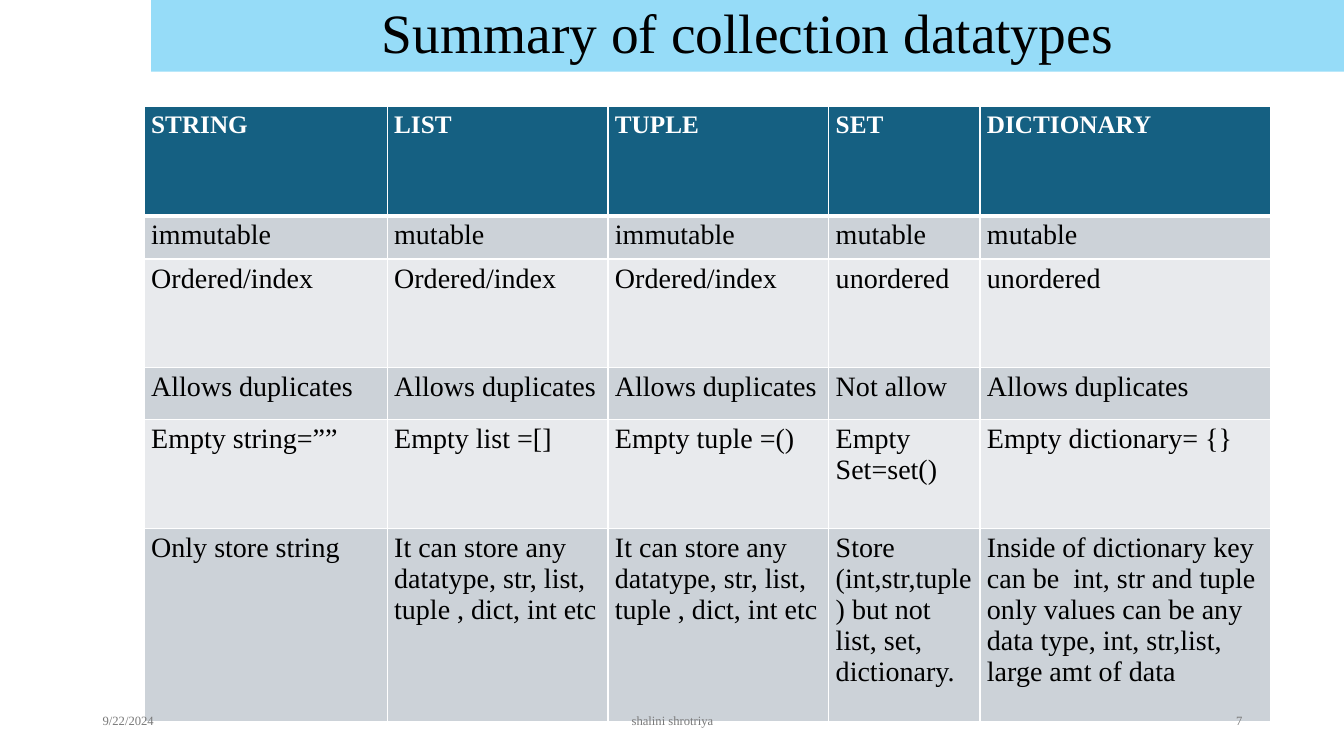
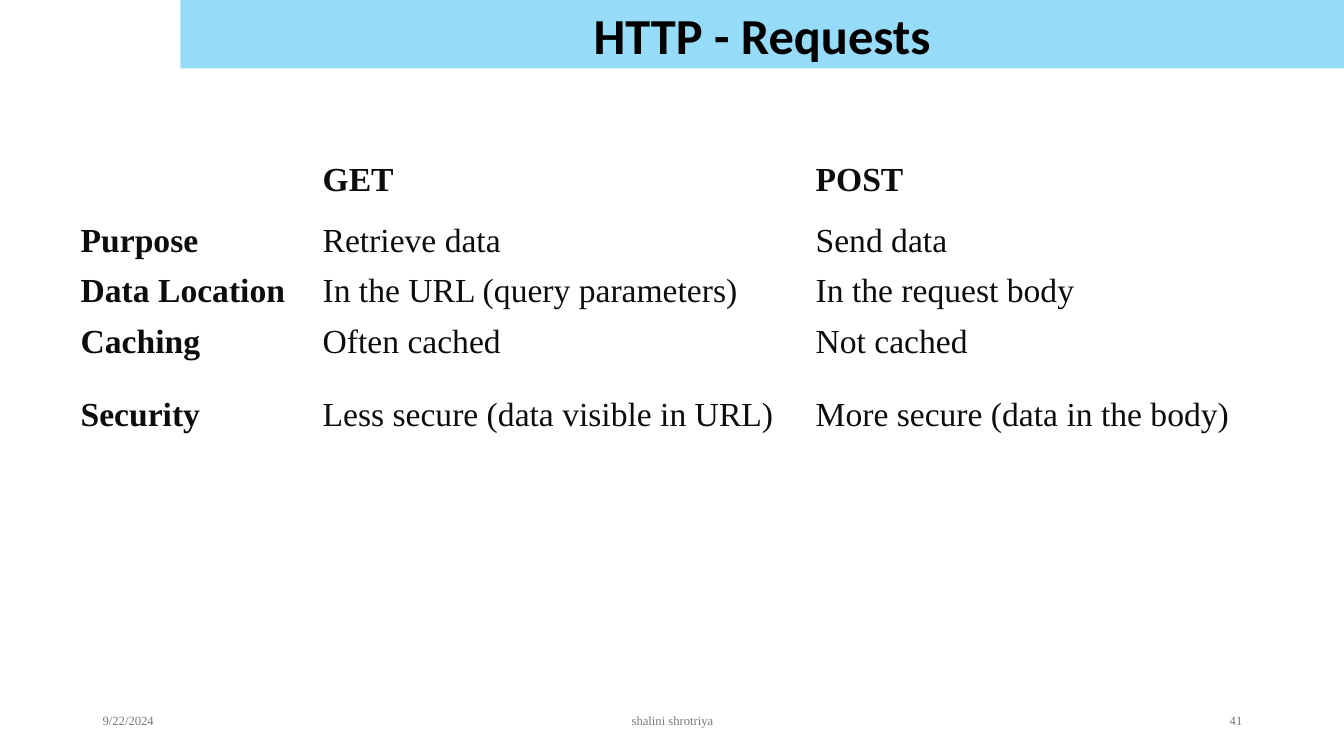
from dataclasses import dataclass

from lxml import etree
from pptx import Presentation
from pptx.dml.color import RGBColor
from pptx.enum.text import MSO_ANCHOR, MSO_AUTO_SIZE, PP_ALIGN
from pptx.oxml.ns import qn
from pptx.util import Inches, Pt

LEFT, CENTER, RIGHT = PP_ALIGN.LEFT, PP_ALIGN.CENTER, PP_ALIGN.RIGHT
TOP, MIDDLE = MSO_ANCHOR.TOP, MSO_ANCHOR.MIDDLE
NO_AUTOFIT = MSO_AUTO_SIZE.NONE
TITLE_ONLY = 5
PLAIN_TABLE_STYLE = "{2D5ABB26-0587-4C30-8999-92F81FD0307C}"


@dataclass(frozen=True)
class Theme:
    serif: str = "Times New Roman"
    sans: str = "Calibri"
    title_band: str = "96DCF8"
    header: str = "156082"
    band_dark: str = "CCD2D8"
    band_light: str = "E8EAED"
    white: str = "FFFFFF"
    black: str = "000000"
    ink: str = "0D0D0D"
    muted: str = "797979"
    footer_size: float = 9
    header_size: float = 18
    body_size: float = 20
    large_size: float = 24
    title_size: float = 36
    wide_title_size: float = 39.6


THEME = Theme()
SLIDE_WIDTH, SLIDE_HEIGHT = 13.33, 7.5
DATE, AUTHOR = "9/22/2024", "shalini shrotriya"

DATATYPE_ROWS = [
    ["STRING", "LIST", "TUPLE", "SET", "DICTIONARY"],
    ["immutable", "mutable", "immutable", "mutable", "mutable"],
    ["Ordered/index"] * 3 + ["unordered"] * 2,
    ["Allows duplicates"] * 3 + ["Not allow", "Allows duplicates"],
    ["Empty string=””", "Empty list =[]", "Empty tuple =()",
     "Empty Set=set()", "Empty dictionary= {}"],
    ["Only store string"]
    + ["It can store any datatype, str, list, tuple , dict, int etc"] * 2
    + ["Store (int,str,tuple) but not  list, set, dictionary.",
       "Inside of dictionary key can be  int, str and tuple only values "
       "can be any  data type, int, str,list,  large amt of data"],
]
REQUEST_ROWS = [
    ["", "GET", "POST"],
    ["Purpose", "Retrieve data", "Send data"],
    ["Data Location", "In the URL (query parameters)", "In the request body"],
    ["Caching", "Often cached", "Not cached"],
    ["Security", "Less secure (data visible in URL)",
     "More secure (data in the body)"],
]


def write(frame, text, size, color, bold=False, font=THEME.serif, align=LEFT):
    """Write one formatted run into the first paragraph of a text frame."""
    paragraph = frame.paragraphs[0]
    paragraph.alignment = align
    run = paragraph.add_run()
    run.text = text
    run.font.name = font
    run.font.size = Pt(size)
    run.font.bold = bold
    run.font.color.rgb = RGBColor.from_string(color)
    return paragraph


def add_title(slide, text, box, size, font, bold=False, line_spacing=1.0):
    title = slide.shapes.title
    title.left, title.top, title.width, title.height = map(Inches, box)
    title.fill.solid()
    title.fill.fore_color.rgb = RGBColor.from_string(THEME.title_band)
    frame = title.text_frame
    frame.auto_size = NO_AUTOFIT
    frame.word_wrap = True
    frame.vertical_anchor = MIDDLE
    frame.margin_left = frame.margin_right = Inches(0.07)
    frame.margin_top = frame.margin_bottom = Inches(0.04)
    paragraph = write(frame, text, size, THEME.black, bold, font, CENTER)
    paragraph.line_spacing = line_spacing


def add_footer(slide, number):
    parts = [(4.42, 4.5, AUTHOR, CENTER), (0.92, 3, DATE, LEFT),
             (9.42, 3, str(number), RIGHT)]
    for left, width, text, align in parts:
        box = slide.shapes.add_textbox(
            Inches(left), Inches(6.95), Inches(width), Inches(0.4))
        frame = box.text_frame
        frame.word_wrap = True
        frame.vertical_anchor = MIDDLE
        write(frame, text, THEME.footer_size, THEME.muted, align=align)


def set_border(cell, side, width):
    line = etree.SubElement(cell._tc.get_or_add_tcPr(), qn(f"a:ln{side}"),
                            w=str(int(Pt(width))))
    fill = etree.SubElement(line, qn("a:solidFill"))
    etree.SubElement(fill, qn("a:srgbClr"), val=THEME.white)


def add_table(slide, origin, rows, widths, heights, format_cell):
    """Place an unstyled table and format each cell by its row and column."""
    left, top = origin
    shape = slide.shapes.add_table(
        len(rows), len(widths), Inches(left), Inches(top),
        Inches(sum(widths)), Inches(sum(heights)))
    table = shape.table
    table.first_row = table.horz_banding = False
    table._tbl.tblPr.find(qn("a:tableStyleId")).text = PLAIN_TABLE_STYLE
    for column, width in zip(table.columns, widths):
        column.width = Inches(width)
    for row, height in zip(table.rows, heights):
        row.height = Inches(height)
    for row_index, texts in enumerate(rows):
        for column_index, text in enumerate(texts):
            cell = table.cell(row_index, column_index)
            format_cell(cell, text, row_index, column_index)


def set_cell_box(cell, side_margin, end_margin, anchor):
    cell.margin_left = cell.margin_right = Inches(side_margin)
    cell.margin_top = cell.margin_bottom = Inches(end_margin)
    cell.vertical_anchor = anchor


def format_banded_cell(cell, text, row, column):
    is_header = row == 0
    set_cell_box(cell, 0.07, 0.04, TOP)
    # Thick rule under the header row, thin rules elsewhere
    for side in "LRTB":
        thick = (row, side) in ((0, "B"), (1, "T"))
        set_border(cell, side, 3 if thick else 1)
    band = THEME.band_dark if row % 2 else THEME.band_light
    cell.fill.solid()
    cell.fill.fore_color.rgb = RGBColor.from_string(
        THEME.header if is_header else band)
    write(cell.text_frame, text,
          THEME.header_size if is_header else THEME.body_size,
          THEME.white if is_header else THEME.black, is_header)


def format_plain_cell(cell, text, row, column):
    set_cell_box(cell, 0.01, 0.01, MIDDLE)
    cell.fill.background()
    if text:
        write(cell.text_frame, text, THEME.large_size, THEME.ink,
              row == 0 or column == 0)


def add_datatypes_slide(presentation):
    slide = presentation.slides.add_slide(
        presentation.slide_layouts[TITLE_ONLY])
    add_title(slide, "Summary of collection datatypes", (1.5, 0, 11.83, 0.71),
              THEME.wide_title_size, THEME.serif, line_spacing=0.9)
    add_table(slide, (1.43, 1.06), DATATYPE_ROWS,
              [2.41, 2.19, 2.19, 1.5, 2.88],
              [1.08, 0.43, 1.08, 0.51, 1.08, 1.92], format_banded_cell)
    add_footer(slide, 7)


def add_requests_slide(presentation):
    slide = presentation.slides.add_slide(
        presentation.slide_layouts[TITLE_ONLY])
    add_title(slide, "HTTP - Requests", (1.79, 0, 11.54, 0.68),
              THEME.title_size, THEME.sans, bold=True)
    add_table(slide, (0.79, 1.43), REQUEST_ROWS, [2.4, 4.89, 4.67],
              [0.71, 0.5, 0.5, 0.5, 0.96], format_plain_cell)
    add_footer(slide, 41)


def main():
    presentation = Presentation()
    presentation.slide_width = Inches(SLIDE_WIDTH)
    presentation.slide_height = Inches(SLIDE_HEIGHT)
    add_datatypes_slide(presentation)
    add_requests_slide(presentation)
    presentation.save("out.pptx")


if __name__ == "__main__":
    main()
